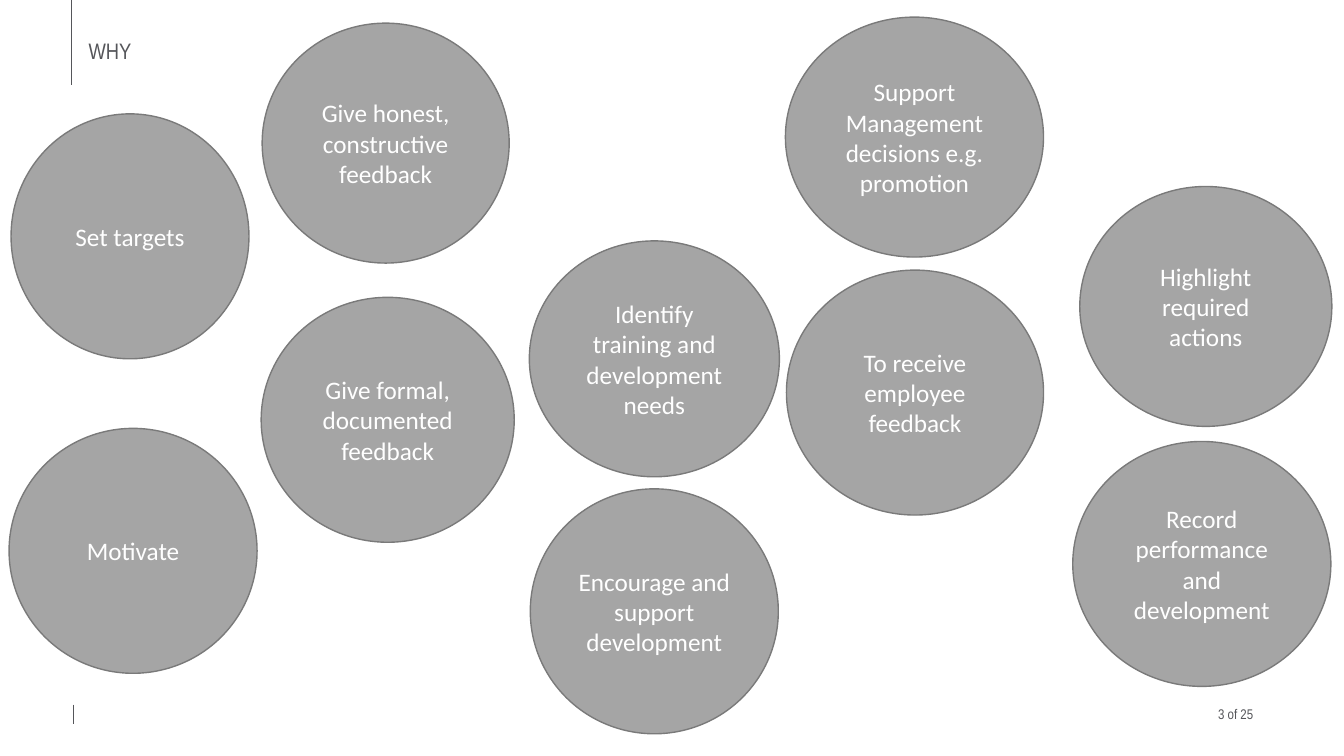
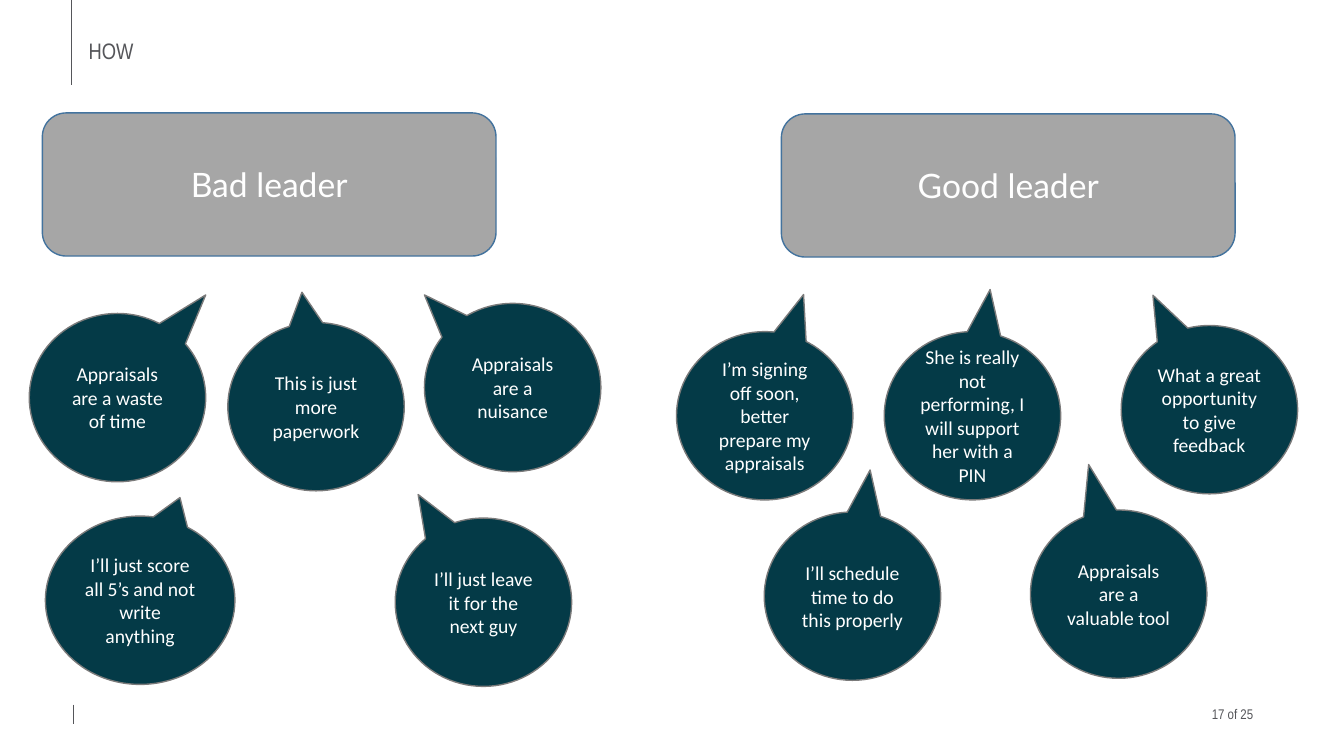
from lxml import etree
from pptx import Presentation
from pptx.dml.color import RGBColor
from pptx.enum.shapes import MSO_CONNECTOR, MSO_SHAPE
from pptx.enum.text import MSO_ANCHOR, PP_ALIGN
from pptx.oxml.ns import qn
from pptx.util import Inches, Pt

# Shared style
WHITE = RGBColor(0xFF, 0xFF, 0xFF)
INK = RGBColor(0x55, 0x56, 0x5A)
CIRCLE_GREY = RGBColor(0xA5, 0xA5, 0xA5)
HEADER_GREY = RGBColor(0xA6, 0xA6, 0xA6)
OUTLINE_GREY = RGBColor(0x7A, 0x7A, 0x7A)
OUTLINE_BLUE = RGBColor(0x43, 0x73, 0x9E)
TEAL = RGBColor(0x04, 0x3A, 0x47)
FRAME_FONT, BODY_FONT, HEADER_FONT = "Arial Narrow", "Calibri", "Lato"
PAGE_COUNT = 25

# Vertical rules: x, top, bottom
RULES = [(0.71, 0, 0.84), (0.73, 6.99, 7.18)]

# Reasons: text, left, top, width, height
REASONS = [
    ("Motivate", 0.09, 4.25, 2.46, 2.43),
    ("Give honest, constructive feedback", 2.6, 0.23, 2.45, 2.38),
    ("Encourage and support development", 5.26, 4.85, 2.46, 2.43),
    ("To receive employee feedback", 7.8, 2.68, 2.55, 2.43),
    ("Give formal, documented feedback", 2.59, 2.95, 2.51, 2.43),
    ("Set targets", 0.11, 1.13, 2.36, 2.43),
    ("Record performance and development", 10.64, 4.38, 2.56, 2.43),
    ("Identify training and development needs", 5.25, 2.39, 2.48, 2.34),
    ("Highlight required actions", 10.71, 1.85, 2.5, 2.38),
    ("Support Management decisions e.g. promotion", 7.79, 0.17, 2.56, 2.38),
]

# Leaders: text, left, top
LEADERS = [("Bad leader", 0.42, 1.12), ("Good leader", 7.75, 1.13)]
LEADER_SIZE = (4.5, 1.42)

# Thoughts: text, left, top, width, pointer tip (share of width, of height)
BUBBLE_WIDTH, BUBBLE_HEIGHT = 1.75, 1.67
THOUGHTS = [
    ("Appraisals are a nuisance", 4.21, 3.01, BUBBLE_WIDTH, (-0.5, -0.55)),
    ("This is just more paperwork", 2.26, 3.2, BUBBLE_WIDTH, (-0.08, -0.68)),
    ("Appraisals are a waste of time", 0.29, 3.11, BUBBLE_WIDTH, (0.5, -0.61)),
    ("I’ll just leave it for the next guy", 3.92, 5.14, BUBBLE_WIDTH, (-0.37, -0.64)),
    ("I’ll just score all 5’s and not write anything", 0.45, 5.12, 1.88, (0.21, -0.61)),
    ("I’m signing off soon, better prepare my appraisals", 6.71, 3.29, BUBBLE_WIDTH, (0.22, -0.72)),
    ("What a great opportunity to give feedback", 11.12, 3.23, BUBBLE_WIDTH, (-0.32, -0.68)),
    ("She is really not performing, I will support her with a PIN", 8.77, 3.29, BUBBLE_WIDTH, (0.1, -0.75)),
    ("I’ll schedule time to do this properly", 7.58, 5.08, BUBBLE_WIDTH, (0.1, -0.75)),
    ("Appraisals are a valuable tool", 10.22, 5.06, BUBBLE_WIDTH, (-0.17, -0.77)),
]


def write(shape, text, font, size, color, align):
    """Put one styled paragraph in a shape and return it."""
    frame = shape.text_frame
    frame.word_wrap = True
    frame.text = text
    para = frame.paragraphs[0]
    para.alignment = align
    span = para.runs[0]
    span.font.name = font
    span.font.size = Pt(size)
    span.font.color.rgb = color
    return para


def add_label(page, text, place, size, align, right_inset=0.0):
    box = page.shapes.add_textbox(*map(Inches, place))
    box.text_frame.margin_left = 0
    box.text_frame.margin_right = Inches(right_inset)
    return box, write(box, text, FRAME_FONT, size, INK, align)


def add_filled(page, kind, place, fill, outline, text, size, font=BODY_FONT):
    shape = page.shapes.add_shape(kind, *map(Inches, place))
    shape.shadow.inherit = False
    shape.fill.solid()
    shape.fill.fore_color.rgb = fill
    shape.line.color.rgb = outline
    shape.line.width = Pt(1)
    shape.text_frame.vertical_anchor = MSO_ANCHOR.MIDDLE
    write(shape, text, font, size, WHITE, PP_ALIGN.CENTER)
    return shape


def add_page(deck, title, number):
    """Add a blank slide with the rules, page number and title."""
    page = deck.slides.add_slide(deck.slide_layouts[6])
    for x, top, bottom in RULES:
        rule = page.shapes.add_connector(
            MSO_CONNECTOR.STRAIGHT, Inches(x), Inches(top), Inches(x), Inches(bottom))
        rule.line.color.rgb = INK
        rule.line.width = Pt(1.25)
        etree.SubElement(rule._element.spPr, qn("a:effectLst"))
    footer, _ = add_label(page, f"{number} of {PAGE_COUNT} ",
                          (9.75, 6.88, 2.71, 0.4), 10, PP_ALIGN.RIGHT)
    footer.text_frame.vertical_anchor = MSO_ANCHOR.MIDDLE
    _, para = add_label(page, title, (0.88, 0.35, 5.98, 0.37), 16, PP_ALIGN.LEFT, 0.1)
    para.line_spacing = 0.9
    para.space_before = Pt(10)
    return page


def build_why(deck):
    page = add_page(deck, "WHY", 3)
    for text, *place in REASONS:
        add_filled(page, MSO_SHAPE.OVAL, place, CIRCLE_GREY, OUTLINE_GREY, text, 18)


def build_how(deck):
    page = add_page(deck, "HOW", 17)
    # Leader headers
    for text, left, top in LEADERS:
        add_filled(page, MSO_SHAPE.ROUNDED_RECTANGLE, (left, top, *LEADER_SIZE),
                   HEADER_GREY, OUTLINE_BLUE, text, 24, HEADER_FONT)
    # Thought bubbles
    for text, left, top, width, tip in THOUGHTS:
        bubble = add_filled(page, MSO_SHAPE.OVAL_CALLOUT, (left, top, width, BUBBLE_HEIGHT),
                            TEAL, OUTLINE_GREY, text, 14)
        for index, share in enumerate(tip):
            bubble.adjustments[index] = share


def main():
    deck = Presentation()
    deck.slide_width, deck.slide_height = Inches(13.33), Inches(7.5)
    build_why(deck)
    build_how(deck)
    deck.save("out.pptx")


if __name__ == "__main__":
    main()
